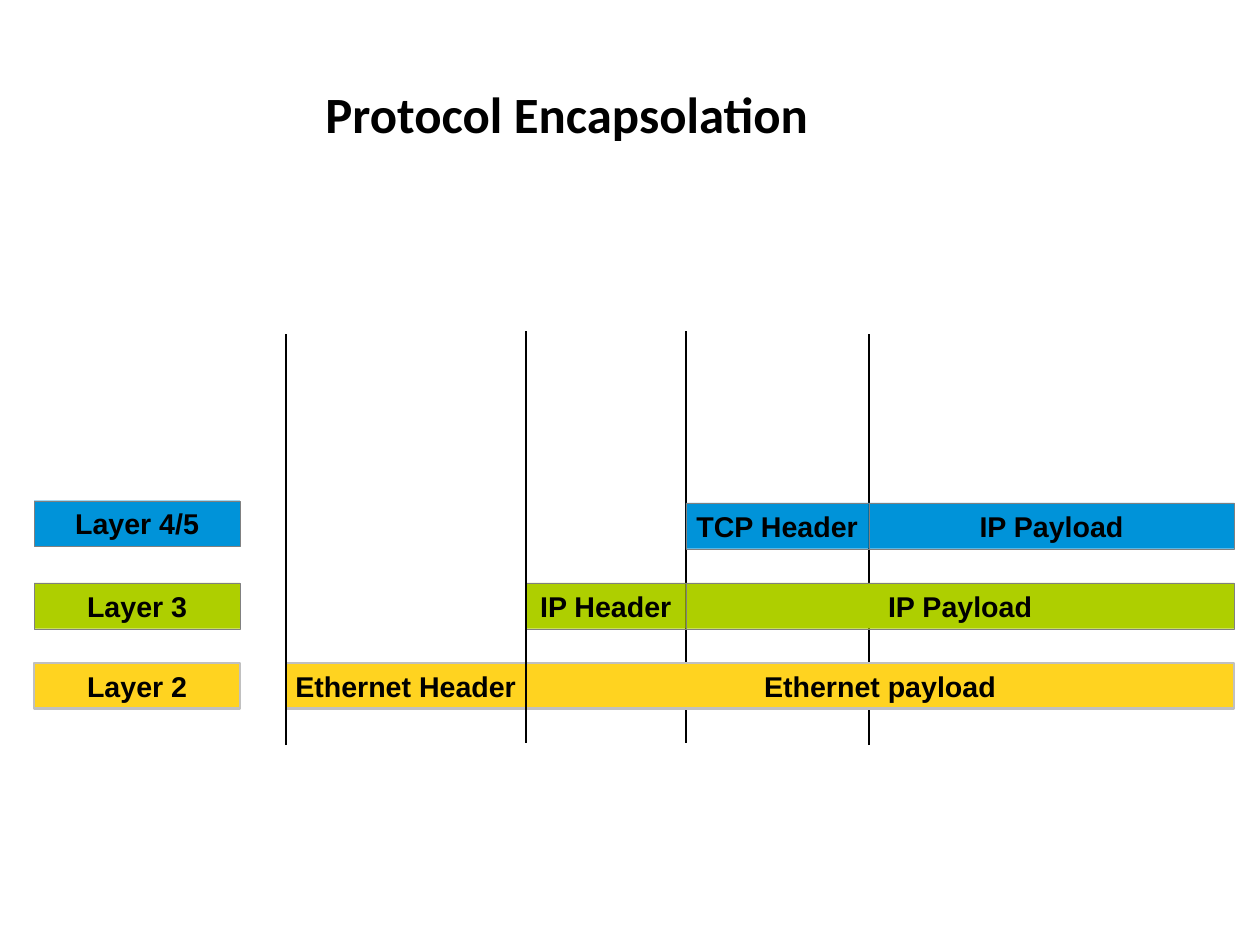
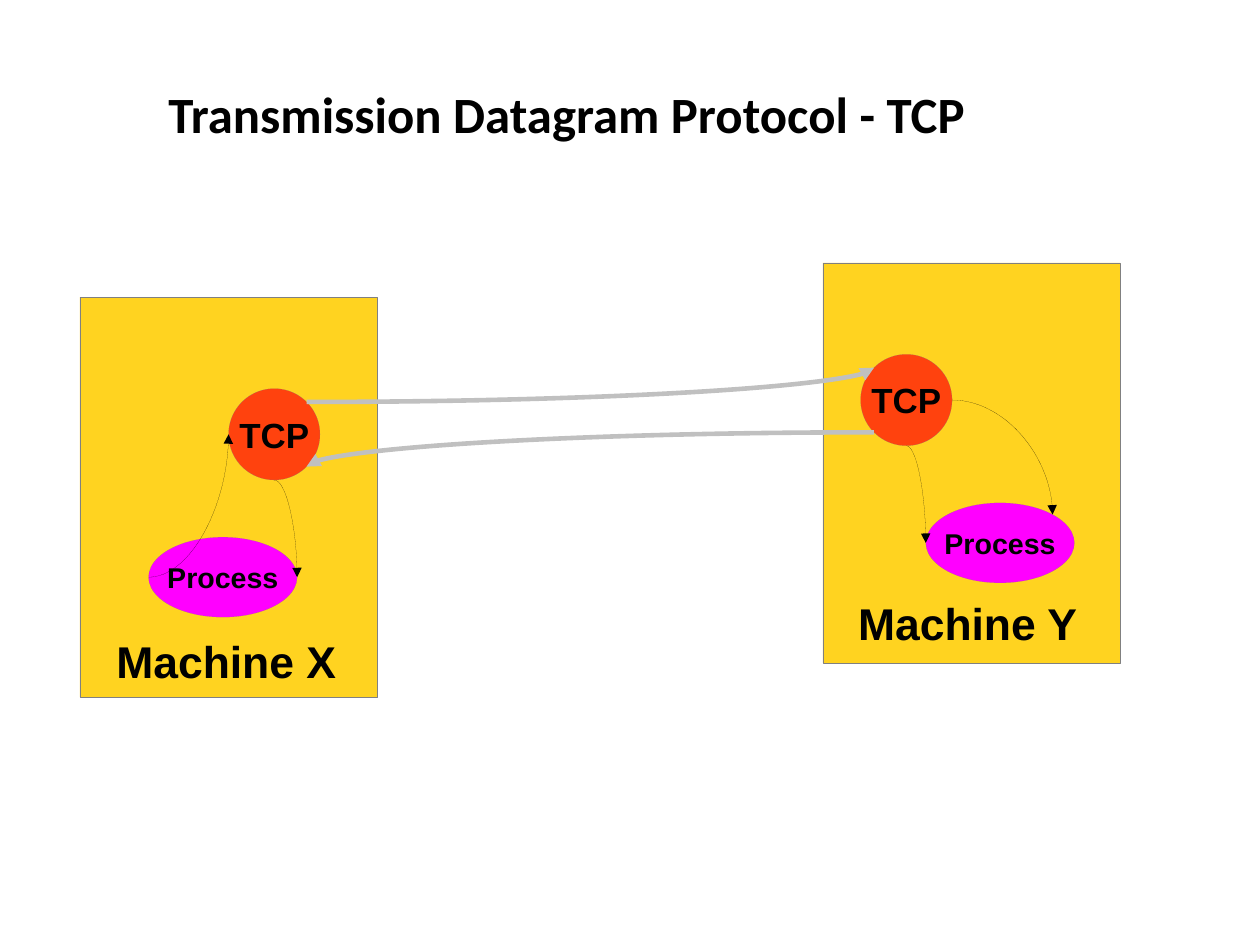
from math import sqrt

from pptx import Presentation
from pptx.dml.color import RGBColor
from pptx.enum.shapes import MSO_CONNECTOR, MSO_SHAPE
from pptx.enum.text import MSO_ANCHOR, PP_ALIGN
from pptx.oxml.ns import qn
from pptx.util import Cm, Inches, Pt

RECTANGLE, OVAL = MSO_SHAPE.RECTANGLE, MSO_SHAPE.OVAL
STRAIGHT, CURVE = MSO_CONNECTOR.STRAIGHT, MSO_CONNECTOR.CURVE
MIDDLE, TOP = MSO_ANCHOR.MIDDLE, MSO_ANCHOR.TOP
CENTER, LEFT = PP_ALIGN.CENTER, PP_ALIGN.LEFT

SLIDE_W, SLIDE_H = Cm(28), Cm(21)
TITLE_BOX = (0, 0.33, 9.92, 1.38)

BLACK, GREY, SILVER = "000000", "808080", "C0C0C0"
YELLOW, GREEN, BLUE = "FFD320", "AECF00", "0093D9"
ORANGE, MAGENTA = "FF420E", "FF00FF"
HAIRLINE, RULE, THICK = 0.02, 1.45, 2.89

# Column edges: where each header begins, and the right end of every bar
ETHERNET, IP, TCP, DATA, END = 2.5, 4.6, 6, 7.6, 10.8
LABEL_X, LABEL_W, BAR_H = 0.3, 1.8, 0.4
RULE_H = 3.6
LAYERS = [
    # label, label top, bar top, colour, outline, outline width, cells
    ("Layer 4/5", 4.38, 4.4, BLUE, GREY, HAIRLINE,
     [("TCP Header", TCP, DATA), ("IP Payload", DATA, END)]),
    ("Layer 3", 5.1, 5.1, GREEN, GREY, HAIRLINE,
     [("IP Header", IP, TCP), ("IP Payload", TCP, END)]),
    ("Layer 2", 5.8, 5.8, YELLOW, SILVER, RULE,
     [("Ethernet payload", IP, END), ("Ethernet Header", ETHERNET, IP)]),
]

MACHINE_W, MACHINE_H = 2.6, 3.5
TCP_SIZE, PROCESS_W, PROCESS_H = 0.8, 1.3, 0.7
TCP_DY, PROCESS_DY = 0.8, 2.1
NAME_W, NAME_H = 2.19, 0.53


def rgb(color):
    return RGBColor.from_string(color)


def write(shape, text, size=18, font="Arial", anchor=MIDDLE, align=CENTER,
          wrap=False, spacing=None):
    frame = shape.text_frame
    frame.word_wrap = wrap
    frame.vertical_anchor = anchor
    paragraph = frame.paragraphs[0]
    paragraph.alignment = align
    paragraph.line_spacing = spacing
    run = paragraph.add_run()
    run.text = text
    run.font.size = Pt(size)
    run.font.name = font
    run.font.bold = True
    run.font.color.rgb = rgb(BLACK)


def add_text(slide, box, text, **text_format):
    write(slide.shapes.add_textbox(*map(Inches, box)), text, **text_format)


def add_block(slide, kind, box, fill, text="", outline=GREY, width=HAIRLINE,
              **text_format):
    block = slide.shapes.add_shape(kind, *map(Inches, box))
    block.shadow.inherit = False
    block.fill.solid()
    block.fill.fore_color.rgb = rgb(fill)
    block.line.color.rgb = rgb(outline)
    block.line.width = Pt(width)
    if text:
        write(block, text, **text_format)


def add_line(slide, kind, start, end, color=BLACK, width=RULE):
    line = slide.shapes.add_connector(kind, *map(Inches, (*start, *end)))
    line.line.color.rgb = rgb(color)
    line.line.width = Pt(width)
    properties = line.element.spPr
    properties.append(properties.makeelement(qn("a:effectLst"), {}))
    return line


def add_curved_arrow(slide, start, end, color=BLACK, width=HAIRLINE):
    """Quarter curve that leaves horizontally and arrives vertically."""
    arrow = add_line(slide, CURVE, start, end, color, width)
    properties = arrow.element.spPr
    properties.find(qn("a:prstGeom")).set("prst", "curvedConnector2")
    outline = properties.find(qn("a:ln"))
    outline.append(outline.makeelement(qn("a:tailEnd"), {"type": "triangle"}))


def rim(box, across, down):
    """Point on an oval's edge in the direction (across, down), each -1, 0 or 1."""
    left, top, width, height = box
    reach = 1 / sqrt(across ** 2 + down ** 2)
    return (left + width / 2 * (1 + across * reach),
            top + height / 2 * (1 + down * reach))


def add_titled_slide(prs, title):
    slide = prs.slides.add_slide(prs.slide_layouts[6])
    add_text(slide, TITLE_BOX, title, size=32, font="Calibri", wrap=True,
             spacing=0.9)
    return slide


def add_rules(slide, rules):
    for x, top in rules:
        add_line(slide, STRAIGHT, (x, top + RULE_H), (x, top))


def add_layer(slide, label, label_top, bar_top, fill, outline, width, cells):
    style = {"outline": outline, "width": width}
    add_block(slide, RECTANGLE, (LABEL_X, label_top, LABEL_W, BAR_H), fill,
              label, **style)
    for text, left, right in cells:
        add_block(slide, RECTANGLE, (left, bar_top, right - left, BAR_H), fill,
                  text, **style)


def add_machine(slide, left, top, name, tcp_dx, process_dx, name_dx, name_dy):
    """Draw one machine and return the boxes of its TCP and process ovals."""
    add_block(slide, RECTANGLE, (left, top, MACHINE_W, MACHINE_H), YELLOW)
    tcp = (left + tcp_dx, top + TCP_DY, TCP_SIZE, TCP_SIZE)
    process = (left + process_dx, top + PROCESS_DY, PROCESS_W, PROCESS_H)
    add_block(slide, OVAL, tcp, ORANGE, "TCP", size=22)
    add_block(slide, OVAL, process, MAGENTA, "Process")
    add_text(slide, (left + name_dx, top + name_dy, NAME_W, NAME_H), name,
             size=28, anchor=TOP, align=LEFT)
    return tcp, process


def build_encapsulation(prs):
    slide = add_titled_slide(prs, "Protocol Encapsolation")
    add_rules(slide, [(TCP, 2.9), (DATA, 2.92)])
    for layer in LAYERS:
        add_layer(slide, *layer)
    add_rules(slide, [(ETHERNET, 2.92), (IP, 2.9)])


def build_transmission(prs):
    slide = add_titled_slide(prs, "Transmission Datagram Protocol - TCP")
    tcp_x, process_x = add_machine(slide, 0.7, 2.6, "Machine X", tcp_dx=1.3,
                                   process_dx=0.6, name_dx=0.22, name_dy=2.9)
    tcp_y, process_y = add_machine(slide, 7.2, 2.3, "Machine Y", tcp_dx=0.33,
                                   process_dx=0.9, name_dx=0.21, name_dy=2.87)
    for start, end in [
        (rim(process_x, -1, 0), rim(tcp_x, -1, 0)),
        (rim(tcp_x, 0, 1), rim(process_x, 1, 0)),
        (rim(tcp_y, 0, 1), rim(process_y, -1, 0)),
        (rim(tcp_y, 1, 0), rim(process_y, 1, -1)),
    ]:
        add_curved_arrow(slide, start, end)
    for start, end in [
        (rim(tcp_x, 1, -1), rim(tcp_y, -1, -1)),
        (rim(tcp_y, -1, 1), rim(tcp_x, 1, 1)),
    ]:
        add_curved_arrow(slide, start, end, SILVER, THICK)


def main():
    prs = Presentation()
    prs.slide_width, prs.slide_height = SLIDE_W, SLIDE_H
    build_encapsulation(prs)
    build_transmission(prs)
    prs.save("out.pptx")


if __name__ == "__main__":
    main()
